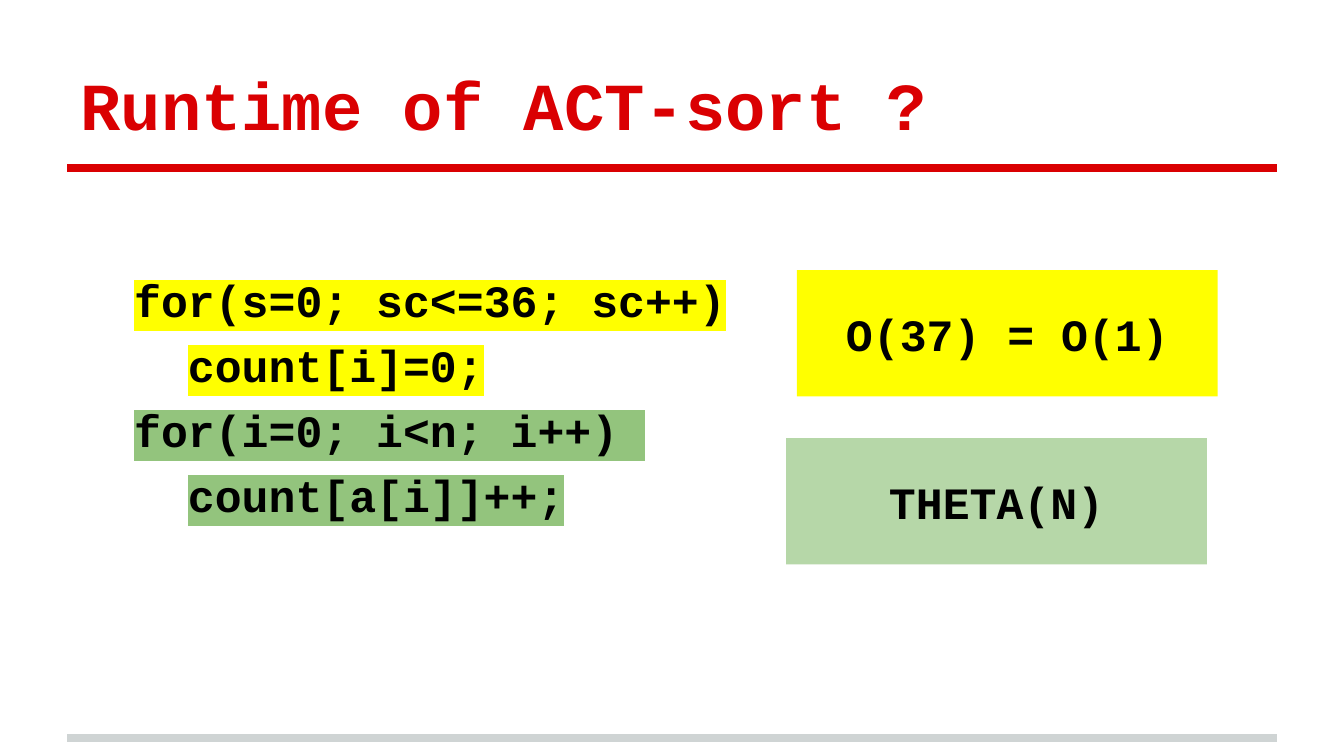
"""Build the slide on the runtime of ACT-sort."""
from dataclasses import dataclass

from lxml import etree
from pptx import Presentation
from pptx.dml.color import RGBColor
from pptx.enum.shapes import MSO_CONNECTOR, MSO_SHAPE
from pptx.enum.text import MSO_ANCHOR, PP_ALIGN
from pptx.oxml.ns import qn
from pptx.util import Inches, Pt

STRAIGHT = MSO_CONNECTOR.STRAIGHT
RECTANGLE = MSO_SHAPE.RECTANGLE
BOTTOM, MIDDLE, TOP = MSO_ANCHOR.BOTTOM, MSO_ANCHOR.MIDDLE, MSO_ANCHOR.TOP
CENTER = PP_ALIGN.CENTER

FONT = "Courier New"
COLORS = {
    "red": "DA0002",
    "gray": "CFD4D4",
    "black": "000000",
    "yellow": "FFFF00",
    "green": "93C47D",
    "light_green": "B6D7A8",
}
SLIDE_WIDTH = 10
SLIDE_HEIGHT = SLIDE_WIDTH * 9 / 16
INSET = 0.1
INDENT = 0.4


@dataclass
class Rule:
    y: float
    color: str


@dataclass
class CodeLine:
    text: str
    level: int
    highlight: str


@dataclass
class CostBox:
    left: float
    top: float
    text: str
    fill: str


RULES = [Rule(5.49, "gray"), Rule(1.25, "red")]
CODE = [
    CodeLine("for(s=0; sc<=36; sc++)", 1, "yellow"),
    CodeLine("count[i]=0;", 2, "yellow"),
    CodeLine("for(i=0; i<n; i++) ", 1, "green"),
    CodeLine("count[a[i]]++;", 2, "green"),
]
COSTS = [
    CostBox(5.93, 2.01, "O(37) = O(1)", "yellow"),
    CostBox(5.85, 3.26, "THETA(N)", "light_green"),
]


def rgb(name: str) -> RGBColor:
    """Return a named colour."""
    return RGBColor.from_string(COLORS[name])


def prepare_frame(shape, anchor, top_inset: float = INSET):
    """Set wrapping, anchor and insets, and return the text frame."""
    frame = shape.text_frame
    frame.word_wrap = True
    frame.vertical_anchor = anchor
    frame.margin_left = frame.margin_right = frame.margin_bottom = Inches(INSET)
    frame.margin_top = Inches(top_inset)
    return frame


def write(paragraph, text: str, size: float = 24, color: str = "black") -> None:
    """Fill a paragraph with bold code-style text."""
    paragraph.text = text
    for run in paragraph.runs:
        run.font.name = FONT
        run.font.size = Pt(size)
        run.font.bold = True
        run.font.color.rgb = rgb(color)


def highlight(run, color: str) -> None:
    """Put a background colour behind a run."""
    mark = etree.Element(qn("a:highlight"))
    etree.SubElement(mark, qn("a:srgbClr"), val=COLORS[color])
    run.font._element.find(qn("a:solidFill")).addnext(mark)


def add_rule(slide, rule: Rule) -> None:
    """Draw a horizontal rule across the slide."""
    y = Inches(rule.y)
    line = slide.shapes.add_connector(STRAIGHT, Inches(0.5), y, Inches(9.5), y)
    line.line.color.rgb = rgb(rule.color)
    line.line.width = Pt(4)
    etree.SubElement(line._element.spPr, qn("a:effectLst"))


def add_title(slide, text: str) -> None:
    """Add the slide title."""
    box = slide.shapes.add_textbox(Inches(0.5), Inches(0.23), Inches(9), Inches(0.94))
    write(prepare_frame(box, BOTTOM).paragraphs[0], text, 36, "red")


def add_code(slide, lines: list[CodeLine]) -> None:
    """Add the highlighted code listing."""
    box = slide.shapes.add_textbox(Inches(0.5), Inches(1.45), Inches(5.25), Inches(3.76))
    frame = prepare_frame(box, TOP, 0.58)
    for index, line in enumerate(lines):
        paragraph = frame.add_paragraph() if index else frame.paragraphs[0]
        write(paragraph, line.text)
        paragraph.space_after = Pt(6)
        properties = paragraph._element.get_or_add_pPr()
        properties.set("marL", str(Inches(INDENT * line.level)))
        properties.set("indent", "0")
        highlight(paragraph.runs[0], line.highlight)


def add_cost(slide, cost: CostBox) -> None:
    """Add a filled box that states a running time."""
    shape = slide.shapes.add_shape(
        RECTANGLE, Inches(cost.left), Inches(cost.top), Inches(3.13), Inches(0.94)
    )
    shape.shadow.inherit = False
    shape.fill.solid()
    shape.fill.fore_color.rgb = rgb(cost.fill)
    shape.line.fill.background()
    paragraph = prepare_frame(shape, MIDDLE).paragraphs[0]
    write(paragraph, cost.text)
    paragraph.alignment = CENTER


def main() -> None:
    """Build and save the presentation."""
    presentation = Presentation()
    presentation.slide_width = Inches(SLIDE_WIDTH)
    presentation.slide_height = Inches(SLIDE_HEIGHT)
    slide = presentation.slides.add_slide(presentation.slide_layouts[6])
    for rule in RULES:
        add_rule(slide, rule)
    add_title(slide, "Runtime of ACT-sort ?")
    add_code(slide, CODE)
    for cost in COSTS:
        add_cost(slide, cost)
    presentation.save("out.pptx")


if __name__ == "__main__":
    main()
